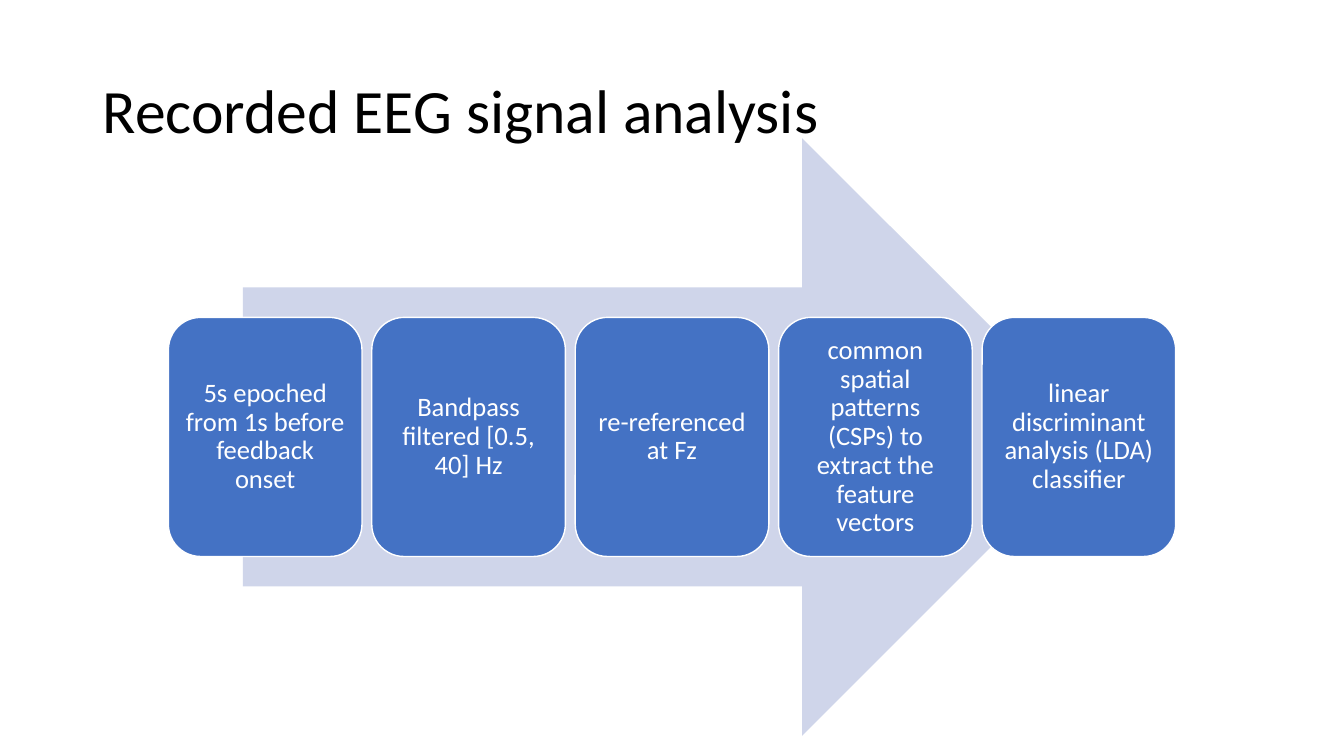
from pptx import Presentation
from pptx.dml.color import RGBColor
from pptx.enum.shapes import MSO_SHAPE
from pptx.enum.text import MSO_ANCHOR, MSO_AUTO_SIZE, PP_ALIGN
from pptx.util import Inches, Pt

ARROW, CARD = MSO_SHAPE.RIGHT_ARROW, MSO_SHAPE.ROUNDED_RECTANGLE
LEFT, CENTER = PP_ALIGN.LEFT, PP_ALIGN.CENTER
MIDDLE, NO_FIT = MSO_ANCHOR.MIDDLE, MSO_AUTO_SIZE.NONE
TITLE_ONLY = 5

COLORS = {"title": "000000", "arrow": "CFD5EA", "card": "4472C4", "white": "FFFFFF"}
FONT = "Calibri"
STEPS = [
    "5s epoched from 1s before feedback onset",
    "Bandpass filtered [0.5, 40] Hz",
    "re-referenced at Fz",
    "common spatial patterns (CSPs) to extract the feature vectors",
    "linear discriminant analysis (LDA) classifier",
]


def color(name):
    return RGBColor.from_string(COLORS[name])


def set_format(target, values):
    for name, value in values.items():
        setattr(target, name, value)


def write_text(shape, text, size, color_name, align, margin):
    frame = shape.text_frame
    inset = Inches(margin)
    set_format(frame, {
        "text": text, "word_wrap": True, "auto_size": NO_FIT,
        "vertical_anchor": MIDDLE, "margin_left": inset, "margin_right": inset,
        "margin_top": inset, "margin_bottom": inset,
    })
    para = frame.paragraphs[0]
    set_format(para, {"alignment": align, "line_spacing": 0.9})
    span = para.runs[0]
    set_format(span.font, {"name": FONT, "size": Pt(size)})
    span.font.color.rgb = color(color_name)


def add_filled_shape(page, kind, box, fill):
    shape = page.shapes.add_shape(kind, *map(Inches, box))
    shape.shadow.inherit = False
    shape.fill.solid()
    shape.fill.fore_color.rgb = color(fill)
    return shape


def place_title(page, box, text):
    names = ("left", "top", "width", "height")
    set_format(page.shapes.title, dict(zip(names, map(Inches, box))))
    write_text(page.shapes.title, text, 44, "title", LEFT, 0.1)


def add_process(page, box, steps):
    left, top, width, height = box

    # Arrow behind the steps, centred in the box
    arrow_width = 8.51
    arrow_left = left + (width - arrow_width) / 2
    arrow = add_filled_shape(page, ARROW, (arrow_left, top, arrow_width, height), "arrow")
    arrow.line.fill.background()

    # Evenly spaced step cards across the full width
    card_width, card_height = 1.92, 0.4 * height
    pitch = (width - card_width) / (len(steps) - 1)
    card_top = top + (height - card_height) / 2
    for index, step in enumerate(steps):
        card_box = (left + index * pitch, card_top, card_width, card_height)
        card = add_filled_shape(page, CARD, card_box, "card")
        card.line.color.rgb = color("white")
        card.line.width = Pt(1)
        write_text(card, step, 19, "white", CENTER, 0.08)


deck = Presentation()
set_format(deck, {"slide_width": Inches(13.33), "slide_height": Inches(7.5)})
page = deck.slides.add_slide(deck.slide_layouts[TITLE_ONLY])
place_title(page, (0.92, 0.4, 11.5, 1.45), "Recorded EEG signal analysis")
add_process(page, (1.67, 1.37, 9.99, 5.93), STEPS)
deck.save("out.pptx")
